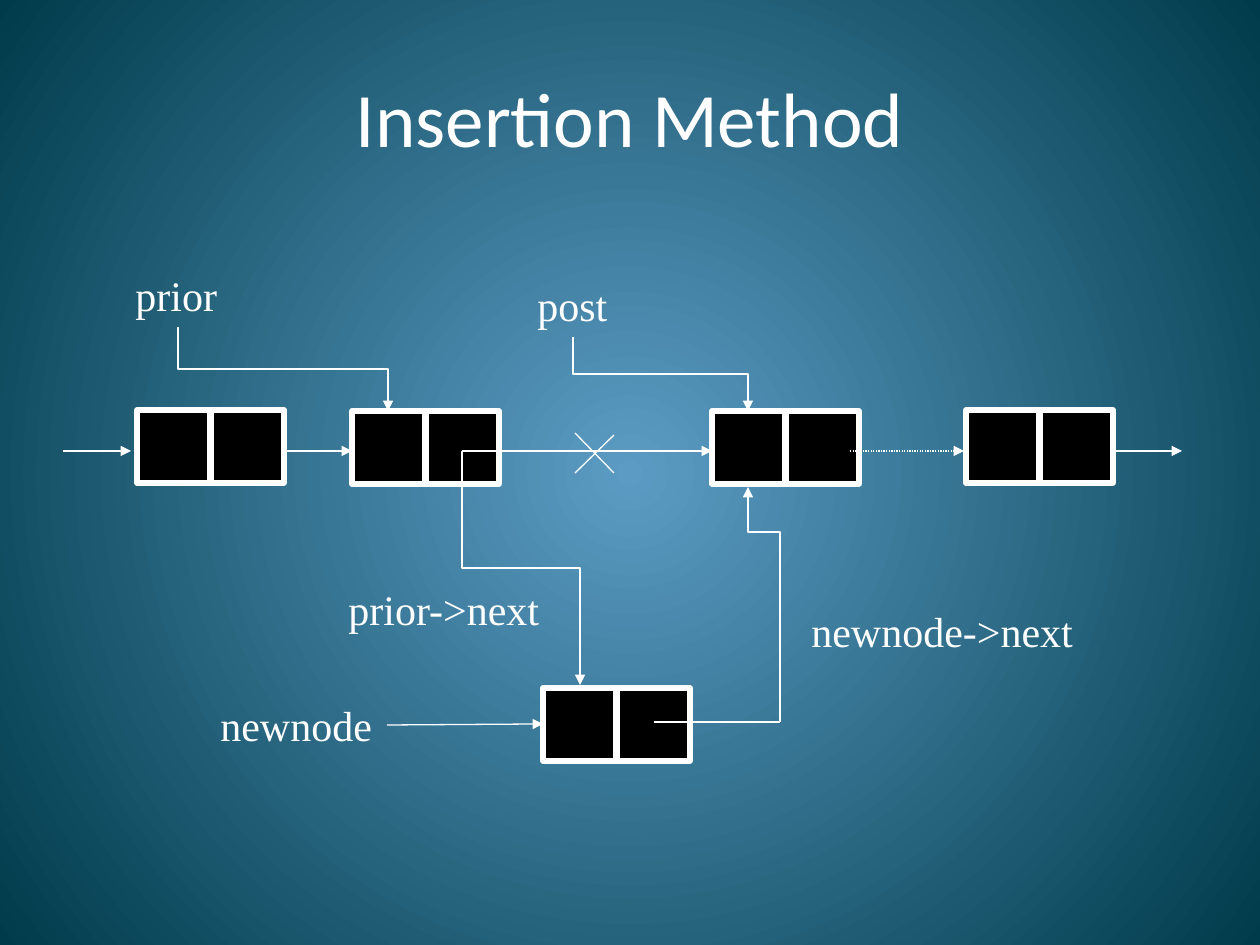
from pptx import Presentation
from pptx.dml.color import RGBColor
from pptx.enum.dml import MSO_LINE
from pptx.enum.shapes import MSO_CONNECTOR, MSO_SHAPE
from pptx.enum.text import MSO_ANCHOR, MSO_AUTO_SIZE, PP_ALIGN
from pptx.oxml.ns import qn
from pptx.util import Emu, Pt
from lxml import etree

STRAIGHT, ELBOW = MSO_CONNECTOR.STRAIGHT, MSO_CONNECTOR.ELBOW
RECTANGLE = MSO_SHAPE.RECTANGLE
DOTTED = MSO_LINE.ROUND_DOT
MIDDLE, CENTER = MSO_ANCHOR.MIDDLE, PP_ALIGN.CENTER
FIT_SHAPE = MSO_AUTO_SIZE.SHAPE_TO_FIT_TEXT

COLORS = {"glow": "5C9CC4", "edge": "003B4B", "ink": "FFFFFF", "cell": "000000"}
TITLE_FONT, LABEL_FONT = "Calibri", "Times New Roman"
PX_PER_INCH = 126
CELL, PITCH = 73, 74
LABEL_HEIGHT = 63


def px(length):
    return Emu(round(length * 914400 / PX_PER_INCH))


def color(name):
    return RGBColor.from_string(COLORS[name])


class Diagram:
    def __init__(self, slide):
        self.slide = slide
        self.shapes = slide.shapes

    def background(self):
        fill = self.slide.background.fill
        fill.gradient()
        for stop, name in zip(fill.gradient_stops, ("glow", "edge")):
            stop.color.rgb = color(name)
        gradient = self.slide.element.find(".//" + qn("a:gradFill"))
        linear = gradient.find(qn("a:lin"))
        circle = etree.Element(qn("a:path"), {"path": "circle"})
        etree.SubElement(circle, qn("a:fillToRect"), dict.fromkeys("ltrb", "50000"))
        gradient.replace(linear, circle)

    def add_text(self, frame, text, font, size):
        paragraph = frame.paragraphs[0]
        run = paragraph.add_run()
        run.text = text
        run.font.name = font
        run.font.size = Pt(size)
        run.font.color.rgb = color("ink")
        return paragraph

    def title(self, text, left, top, width, height):
        heading = self.shapes.title
        heading.left, heading.top = px(left), px(top)
        heading.width, heading.height = px(width), px(height)
        heading.text_frame.vertical_anchor = MIDDLE
        self.add_text(heading.text_frame, text, TITLE_FONT, 44).alignment = CENTER

    def label(self, text, left, top, width):
        box = self.shapes.add_textbox(px(left), px(top), px(width), px(LABEL_HEIGHT))
        box.text_frame.word_wrap = False
        box.text_frame.auto_size = FIT_SHAPE
        self.add_text(box.text_frame, text, LABEL_FONT, 24)

    def node(self, left, top):
        group = self.shapes.add_group_shape()
        for column in range(2):
            cell = group.shapes.add_shape(
                RECTANGLE, px(left + column * PITCH), px(top), px(CELL), px(CELL))
            cell.shadow.inherit = False
            cell.fill.solid()
            cell.fill.fore_color.rgb = color("cell")
            cell.line.color.rgb = color("ink")
            cell.line.width = Pt(3)

    def style_line(self, connector, arrow, dash=None):
        connector.line.color.rgb = color("ink")
        connector.line.width = Pt(0.75)
        if dash:
            connector.line.dash_style = dash
        properties = connector.element.spPr
        if arrow:
            outline = properties.find(qn("a:ln"))
            etree.SubElement(outline, qn("a:tailEnd"), {"type": "triangle"})
        etree.SubElement(properties, qn("a:effectLst"))

    def line(self, x1, y1, x2, y2, arrow=True, dash=None):
        connector = self.shapes.add_connector(STRAIGHT, px(x1), px(y1), px(x2), px(y2))
        self.style_line(connector, arrow, dash)

    def elbow(self, x1, y1, x2, y2):
        length, breadth = abs(y2 - y1), abs(x2 - x1)
        left = (x1 + x2 - length) / 2
        top = (y1 + y2 - breadth) / 2
        connector = self.shapes.add_connector(
            ELBOW, px(left), px(top), px(left + length), px(top + breadth))
        frame = connector.element.spPr.find(qn("a:xfrm"))
        frame.set("rot", "16200000" if y2 > y1 else "5400000")
        frame.set("flipH", "1")
        self.style_line(connector, arrow=True)


def main():
    deck = Presentation()
    deck.slide_width, deck.slide_height = px(1260), px(945)
    diagram = Diagram(deck.slides.add_slide(deck.slide_layouts[5]))
    diagram.background()
    diagram.title("Insertion Method", 63, 38, 1134, 157)

    for left, top in ((137, 410), (352, 411), (712, 411), (966, 410), (543, 688)):
        diagram.node(left, top)

    list_y = 451
    for start, end in ((63, 131), (284, 352), (462, 712), (1113, 1182)):
        diagram.line(start, list_y, end, list_y)
    diagram.line(850, list_y, 964, list_y, dash=DOTTED)
    diagram.line(387, 725, 543, 724)

    for y1, y2 in ((433, 473), (473, 435)):
        diagram.line(575, y1, 614, y2, arrow=False)

    diagram.elbow(178, 327, 388, 411)
    diagram.elbow(573, 337, 748, 411)
    diagram.elbow(462, 451, 580, 685)
    diagram.line(654, 722, 780, 722, arrow=False)
    diagram.line(780, 722, 780, 577, arrow=False)
    diagram.elbow(780, 577, 748, 487)

    for text, left, top, width in (
        ("prior", 123, 263, 108),
        ("post", 525, 273, 96),
        ("newnode", 208, 693, 179),
        ("prior->next", 336, 577, 218),
        ("newnode->next", 799, 599, 290),
    ):
        diagram.label(text, left, top, width)

    deck.save("out.pptx")


if __name__ == "__main__":
    main()
